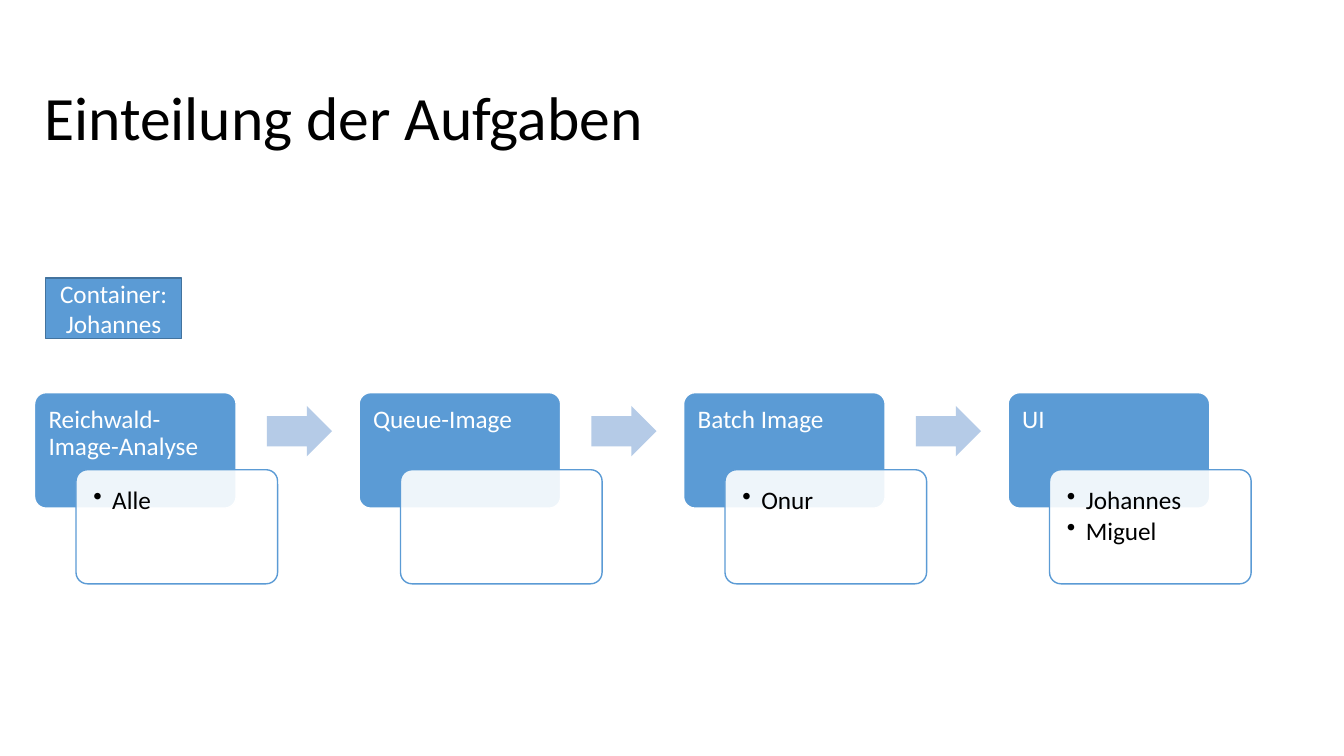
import pptx
import pptx.util
import pptx.dml.color
import pptx.enum.shapes
import pptx.enum.text
from dataclasses import dataclass
from lxml import etree

Pt = pptx.util.Pt
MSO = pptx.enum.shapes.MSO_SHAPE
ALIGN = pptx.enum.text.PP_ALIGN
ANCHOR = pptx.enum.text.MSO_ANCHOR


@dataclass(frozen=True)
class Theme:
    font: str = "Calibri"
    title: int = 44
    body: int = 18
    black: str = "000000"
    white: str = "FFFFFF"
    blue: str = "5B9BD5"
    border: str = "43739E"
    arrow: str = "B5CBE7"


T = Theme()


def rgb(value):
    return pptx.dml.color.RGBColor.from_string(value)


def write(sp, text, size=T.body, color=T.black, align=ALIGN.LEFT, anchor=ANCHOR.TOP,
          insets=(7.2, 3.6, 7.2, 3.6), spacing=0.9, after=0, bullet=False):
    """Fill a shape with one paragraph per line of text."""
    tf = sp.text_frame
    tf.word_wrap = True
    tf.vertical_anchor = anchor
    tf.margin_left, tf.margin_top, tf.margin_right, tf.margin_bottom = map(Pt, insets)
    for i, line in enumerate(text.split("\n")):
        p = tf.paragraphs[0] if i == 0 else tf.add_paragraph()
        p.alignment = align
        p.line_spacing = spacing
        p.space_after = Pt(after)
        r = p.add_run()
        r.text = line
        r.font.name, r.font.size = T.font, Pt(size)
        r.font.color.rgb = rgb(color)
        if bullet:
            pPr = p._p.get_or_add_pPr()
            pPr.set("marL", str(Pt(13.5)))
            pPr.set("indent", str(-Pt(13.5)))
            bu = etree.SubElement(pPr, pptx.oxml.ns.qn("a:buChar"))
            bu.set("char", "•")


class Deck:
    def __init__(self, theme, width, height):
        self.theme = theme
        self.prs = pptx.Presentation()
        self.prs.slide_width, self.prs.slide_height = Pt(width), Pt(height)
        self.s = self.prs.slides.add_slide(self.prs.slide_layouts[6])

    def text(self, x, y, w, h, text, **fmt):
        sp = self.s.shapes.add_textbox(Pt(x), Pt(y), Pt(w), Pt(h))
        write(sp, text, **fmt)

    def shape(self, kind, x, y, w, h, fill, line=None, adj=(), alpha=None):
        sp = self.s.shapes.add_shape(kind, Pt(x), Pt(y), Pt(w), Pt(h))
        sp.shadow.inherit = False
        for i, value in enumerate(adj):
            sp.adjustments[i] = value
        sp.fill.solid()
        sp.fill.fore_color.rgb = rgb(fill)
        if alpha is not None:
            clr = sp.fill._xPr.find(".//" + pptx.oxml.ns.qn("a:srgbClr"))
            etree.SubElement(clr, pptx.oxml.ns.qn("a:alpha")).set("val", str(alpha * 1000))
        if line:
            sp.line.color.rgb = rgb(line)
            sp.line.width = Pt(1)
        else:
            sp.line.fill.background()
        return sp

    def card(self, x, y, fill, line, alpha=None, h=81.5):
        self.shape(MSO.ROUNDED_RECTANGLE, x, y, 144, h, fill, line, (0.1,), alpha)

    def arrow(self, x, y):
        self.shape(MSO.RIGHT_ARROW, x, y, 46.5, 36, self.theme.arrow, adj=(0.6, 0.5))


deck = Deck(T, 960, 540)

# Title
deck.text(24.5, 34, 828, 104.4, "Einteilung der Aufgaben", size=T.title, anchor=ANCHOR.MIDDLE)

# Process: task cards, people cards and arrows
STEPS = [("Reichwald-Image-Analyse", "Alle"), ("Queue-Image", ""),
         ("Batch Image", "Onur"), ("UI", "Johannes\nMiguel")]
LEFT, TOP, PITCH = 24.7, 280.5, 231.8

for i, (task, people) in enumerate(STEPS):
    x = LEFT + i * PITCH
    deck.card(x, TOP, T.blue, T.white, h=82.5)
    deck.text(x, TOP, 144, 54.7, task, color=T.white, insets=(10, 10, 10, 5), after=6.3)
    deck.card(x + 29.6, TOP + 55, T.white, T.blue, alpha=90)
    if people:
        deck.text(x + 32, TOP + 58, 139.7, 77, people, insets=(10,) * 4,
                  after=2.7, bullet=True)
    if i < len(STEPS) - 1:
        deck.arrow(x + 166, TOP + 9.5)

# Container box
sp = deck.shape(MSO.RECTANGLE, 32.4, 198.5, 97.5, 43.2, T.blue, T.border)
write(sp, "Container: Johannes", color=T.white, align=ALIGN.CENTER,
      anchor=ANCHOR.MIDDLE, spacing=1)

deck.prs.save("out.pptx")
